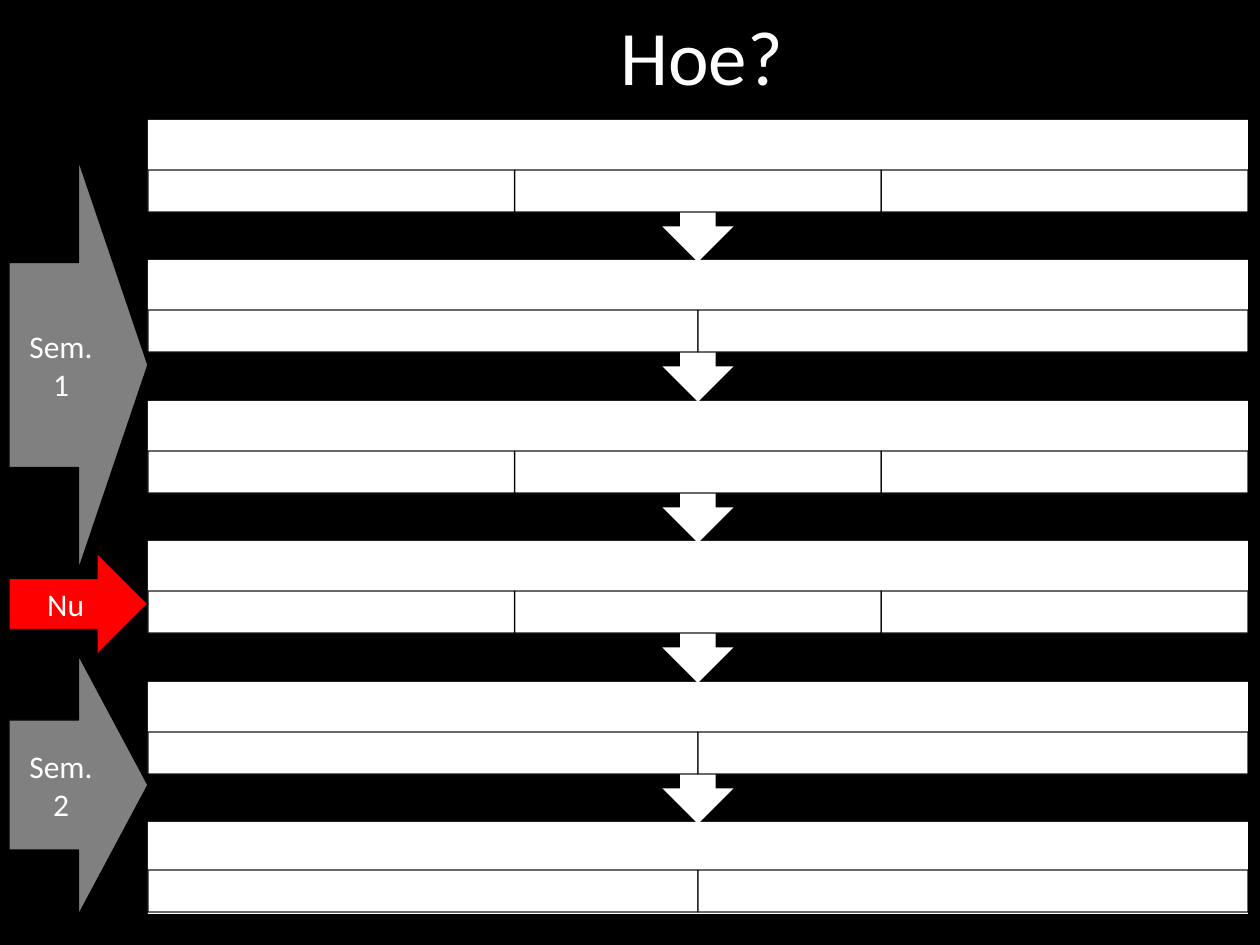
from dataclasses import dataclass

from lxml.etree import SubElement
from pptx import Presentation
from pptx.dml.color import RGBColor
from pptx.enum.shapes import MSO_SHAPE
from pptx.enum.text import MSO_ANCHOR, PP_ALIGN
from pptx.oxml.ns import qn
from pptx.util import Pt

PX = 914400 // 126


@dataclass(frozen=True)
class Theme:
    black: RGBColor = RGBColor(0, 0, 0)
    white: RGBColor = RGBColor(255, 255, 255)
    grey: RGBColor = RGBColor(128, 128, 128)
    red: RGBColor = RGBColor(255, 0, 0)
    font: str = "Calibri"
    title_size: int = 44
    label_size: int = 18
    line_width: float = 0.75
    cell_alpha: int = 90


THEME = Theme()


def emu(box):
    return [round(length * PX) for length in box]


def write(shape, text, size):
    frame = shape.text_frame
    frame.word_wrap = True
    frame.vertical_anchor = MSO_ANCHOR.MIDDLE
    frame.text = text
    paragraph = frame.paragraphs[0]
    paragraph.alignment = PP_ALIGN.CENTER
    font = paragraph.runs[0].font
    font.name, font.size = THEME.font, Pt(size)
    font.color.rgb = THEME.white


def add_block(slide, preset, box, fill, outlined=True):
    block = slide.shapes.add_shape(preset, *emu(box))
    block.shadow.inherit = False
    block.fill.solid()
    block.fill.fore_color.rgb = fill
    if outlined:
        block.line.color.rgb = THEME.black
        block.line.width = Pt(THEME.line_width)
    else:
        block.line.fill.background()
    return block


def set_alpha(block, percent):
    for color in block._element.spPr.iter(qn("a:srgbClr")):
        SubElement(color, qn("a:alpha")).set("val", str(percent * 1000))


def add_title(slide, box, text):
    title = slide.shapes.add_textbox(*emu(box))
    write(title, text, THEME.title_size)


def add_step(slide, box, cell_count, is_last):
    """One bar with a row of cells; all but the last point down to the next."""
    left, top, width, height = box
    if is_last:
        add_block(slide, MSO_SHAPE.RECTANGLE, box, THEME.white, outlined=False)
    else:
        callout = add_block(slide, MSO_SHAPE.DOWN_ARROW_CALLOUT,
                            (left, top, width, 142), THEME.white, outlined=False)
        for index, ratio in enumerate((0.25, 0.25, 0.25, 0.65)):
            callout.adjustments[index] = ratio
    cell_top = top + (48 if is_last else 50)
    cell_width = width / cell_count
    for column in range(cell_count):
        cell = add_block(slide, MSO_SHAPE.RECTANGLE,
                         (left + column * cell_width, cell_top, cell_width, 42),
                         THEME.white)
        set_alpha(cell, THEME.cell_alpha)


def add_process(slide, box, cell_counts):
    left, top, width, height = box
    bar_height = 92
    last = len(cell_counts) - 1
    pitch = (height - bar_height) / last
    # The bottom step lies at the back
    for row in range(last, -1, -1):
        add_step(slide, (left, round(top + row * pitch), width, bar_height),
                 cell_counts[row], row == last)


def add_timeline(slide, box, periods):
    left, top, width, _ = box
    for text, offset, height, fill in periods:
        arrow = add_block(slide, MSO_SHAPE.RIGHT_ARROW,
                          (left, top + offset, width, height), fill)
        write(arrow, text, THEME.label_size)


def main():
    deck = Presentation()
    deck.slide_width, deck.slide_height = emu((1260, 945))
    slide = deck.slides.add_slide(deck.slide_layouts[6])
    slide.background.fill.solid()
    slide.background.fill.fore_color.rgb = THEME.black

    # Heading
    add_title(slide, (126, -24, 1134, 158), " Hoe?")

    # Six steps, top to bottom
    add_process(slide, (148, 120, 1100, 794), (3, 2, 3, 3, 2, 2))

    # Periods beside the steps
    add_timeline(slide, (9, 160, 139, 755), (
        ("Nu", 393, 102, THEME.red),
        ("Sem. 1", 0, 410, THEME.grey),
        ("Sem. 2", 495, 260, THEME.grey),
    ))
    deck.save("out.pptx")


main()
